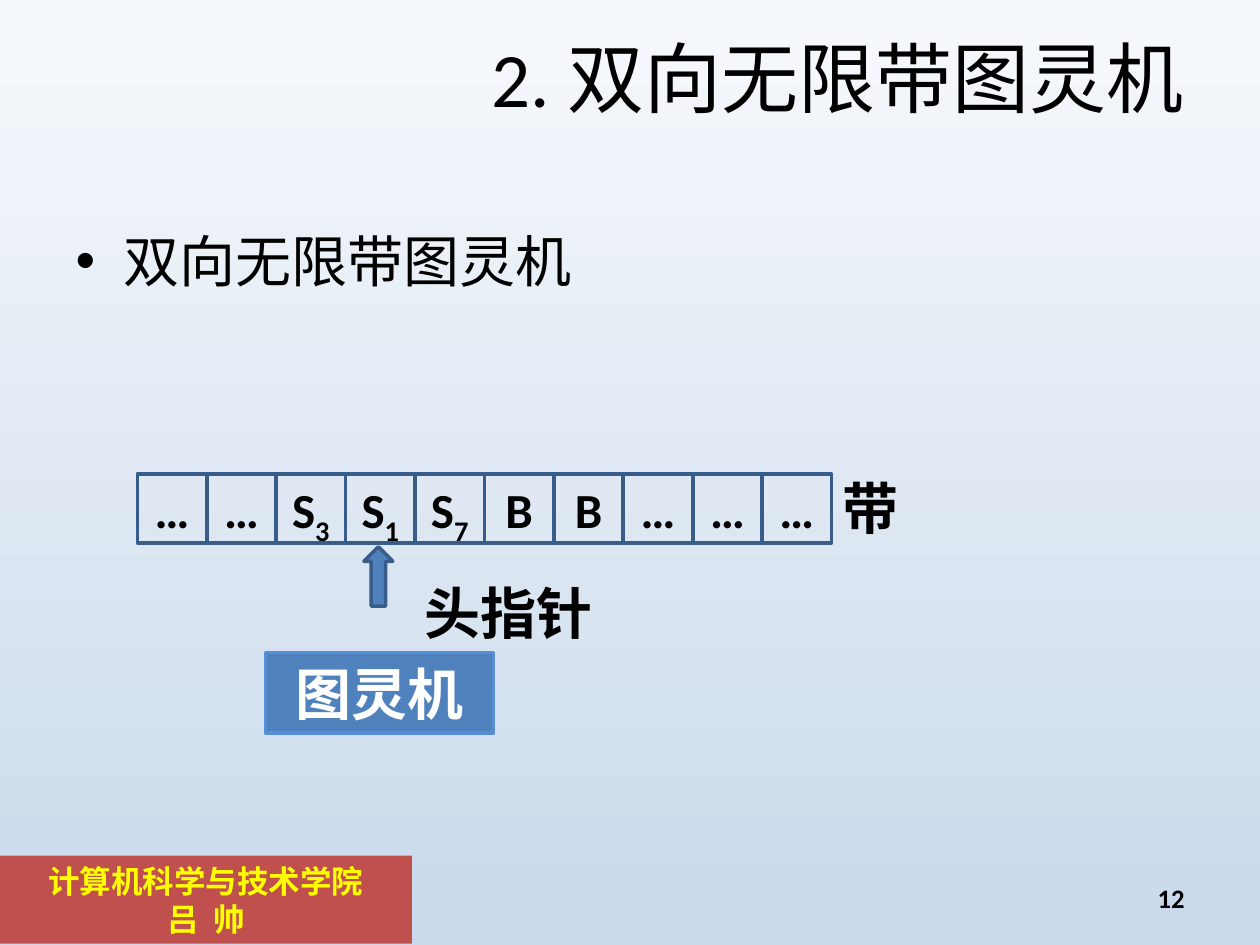
from pptx import Presentation
from pptx.dml.color import RGBColor
from pptx.enum.shapes import MSO_SHAPE as Shape
from pptx.enum.text import MSO_ANCHOR as Anchor, PP_ALIGN as Align
from pptx.oxml import parse_xml
from pptx.oxml.ns import nsdecls
from pptx.util import Inches, Pt

BLACK = RGBColor(0x00, 0x00, 0x00)
WHITE = RGBColor(0xFF, 0xFF, 0xFF)
YELLOW = RGBColor(0xFF, 0xFF, 0x00)
RED = RGBColor(0xC0, 0x50, 0x4D)
BLUE = RGBColor(0x4F, 0x81, 0xBD)
DARK_BLUE = RGBColor(0x38, 0x5D, 0x8A)
LIGHT_BLUE = RGBColor(0x55, 0x8E, 0xD5)
SKY_TOP = RGBColor(0xF6, 0xF9, 0xFC)
SKY_BOTTOM = RGBColor(0xCA, 0xD9, 0xEB)

TAPE = ["…", "…", "S3", "S1", "S7", "B", "B", "…", "…", "…"]
TAPE_LEFT, TAPE_TOP, CELL = 1.09, 3.76, 0.55
CELL_PITCH = 0.551
HEAD_COLUMN = 3


def inches(*lengths):
    return [Inches(length) for length in lengths]


def format_run(run, size, color=BLACK, name="Calibri", bold=True):
    values = {"size": Pt(size), "name": name, "bold": bold}
    for attribute, value in values.items():
        setattr(run.font, attribute, value)
    run.font.color.rgb = color


def write(shape, lines, size, align=Align.LEFT, anchor=Anchor.TOP, wrap=True, **font):
    """Fill a shape with one paragraph per line and return the text frame."""
    frame = shape.text_frame
    frame.word_wrap = wrap
    frame.vertical_anchor = anchor
    frame.margin_left = frame.margin_right = Inches(0.1)
    frame.margin_top = frame.margin_bottom = Inches(0.05)
    frame.text = "\n".join(lines)
    for paragraph in frame.paragraphs:
        paragraph.alignment = align
        for run in paragraph.runs:
            format_run(run, size, **font)
    return frame


def place(shape, box):
    shape.left, shape.top, shape.width, shape.height = inches(*box)


def add_figure(slide, kind, box, fill=None, line=None):
    shape = slide.shapes.add_shape(kind, *inches(*box))
    shape.shadow.inherit = False
    if fill is None:
        shape.fill.background()
    else:
        shape.fill.solid()
        shape.fill.fore_color.rgb = fill
    if line is None:
        shape.line.fill.background()
    else:
        shape.line.color.rgb = line
        shape.line.width = Pt(2)
    return shape


def add_label(slide, box, text, size, **style):
    return write(slide.shapes.add_textbox(*inches(*box)), [text], size, **style)


def paint_background(slide):
    fill = slide.background.fill
    fill.gradient()
    fill.gradient_angle = 270
    for stop, color in zip(fill.gradient_stops, (SKY_TOP, SKY_BOTTOM)):
        stop.color.rgb = color


def fill_placeholders(slide):
    title, body = slide.placeholders
    place(title, (0.5, 0.3, 9, 0.61))
    write(title, ["2. 双向无限带图灵机"], 44, Align.RIGHT, Anchor.MIDDLE, bold=False)
    place(body, (0.5, 1.75, 9, 1.45))
    frame = write(body, ["双向无限带图灵机"], 32, bold=False)
    properties = frame.paragraphs[0]._p.get_or_add_pPr()
    properties.set("marL", str(Inches(0.38)))
    properties.set("indent", str(-Inches(0.38)))
    properties.append(parse_xml(f'<a:buChar {nsdecls("a")} char="•"/>'))


def add_tape(slide):
    """Draw the row of cells; what follows a symbol's letter is its subscript."""
    for column, symbol in enumerate(TAPE):
        left = TAPE_LEFT + column * CELL_PITCH
        cell = add_figure(slide, Shape.RECTANGLE, (left, TAPE_TOP, CELL, CELL), line=DARK_BLUE)
        frame = write(cell, [symbol[0]], 28, Align.CENTER)
        if symbol[1:]:
            subscript = frame.paragraphs[0].add_run()
            subscript.text = symbol[1:]
            format_run(subscript, 28)
            subscript.font._element.set("baseline", "-25000")


def add_machine(slide):
    center = TAPE_LEFT + HEAD_COLUMN * CELL_PITCH + CELL / 2
    machine = add_figure(slide, Shape.RECTANGLE, (center - 0.91, 5.18, 1.81, 0.64), BLUE, LIGHT_BLUE)
    write(machine, ["图灵机"], 32, Align.CENTER, Anchor.MIDDLE, color=WHITE)
    add_figure(slide, Shape.UP_ARROW, (center - 0.13, 4.34, 0.23, 0.47), BLUE, DARK_BLUE)


def main():
    presentation = Presentation()
    presentation.slide_width, presentation.slide_height = inches(10, 7.5)
    slide = presentation.slides.add_slide(presentation.slide_layouts[1])
    paint_background(slide)
    banner = add_figure(slide, Shape.RECTANGLE, (0, 6.79, 3.27, 0.7), RED)
    write(banner, ["计算机科学与技术学院", "吕  帅"], 18, Align.CENTER, color=YELLOW, name="Arial")
    fill_placeholders(slide)
    add_tape(slide)
    add_label(slide, (6.59, 3.71, 1.42, 0.64), "带", 32, name="Arial")
    add_label(slide, (3.27, 4.54, 1.88, 0.64), "头指针", 32, name="Arial")
    add_machine(slide)
    number = add_label(slide, (7.17, 6.95, 2.33, 0.4), "12", 15.2, align=Align.RIGHT, anchor=Anchor.MIDDLE)
    number.paragraphs[0].line_spacing = 0.8
    presentation.save("out.pptx")


if __name__ == "__main__":
    main()
